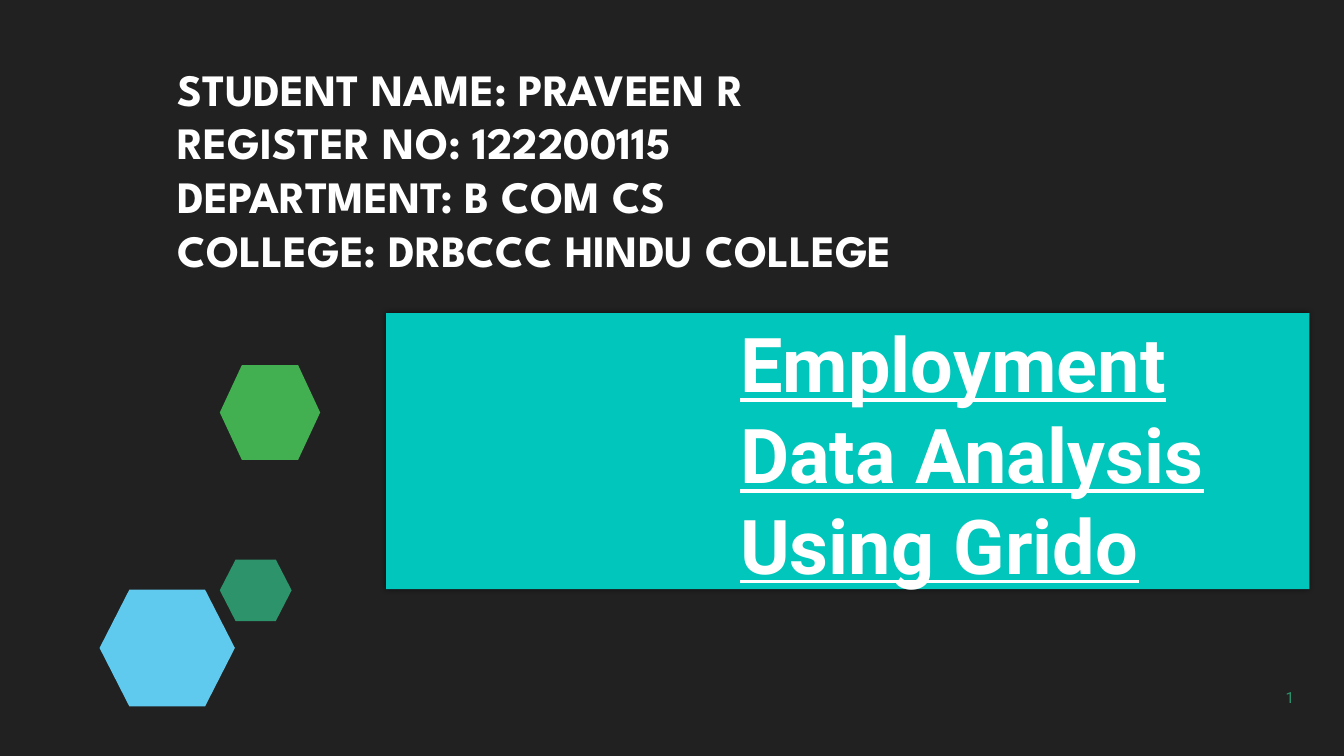
from lxml.etree import SubElement
from pptx import Presentation
from pptx.dml.color import RGBColor
from pptx.enum.shapes import MSO_SHAPE
from pptx.enum.text import MSO_ANCHOR, PP_ALIGN
from pptx.oxml.ns import qn
from pptx.util import Cm, Pt

CHARCOAL = RGBColor(0x21, 0x21, 0x21)
WHITE = RGBColor(0xFF, 0xFF, 0xFF)
TURQUOISE = RGBColor(0x00, 0xC6, 0xBB)
SKY = RGBColor(0x5F, 0xCA, 0xEE)
SEA_GREEN = RGBColor(0x2D, 0x93, 0x6B)
LEAF_GREEN = RGBColor(0x42, 0xAF, 0x51)

STUDENT_DETAILS = [
    "STUDENT NAME: PRAVEEN R",
    "REGISTER NO: 122200115",
    "DEPARTMENT: B COM CS",
    "COLLEGE: DRBCCC HINDU COLLEGE",
]


class CoverPage:
    body_font = "Roboto"
    heading_font = "League Spartan"
    hexagon_inset = 0.22

    def __init__(self, deck):
        self.page = deck.slides.add_slide(deck.slide_layouts[6])
        self.page.background.fill.solid()
        self.page.background.fill.fore_color.rgb = CHARCOAL

    def paint(self, shape, color):
        shape.shadow.inherit = False
        shape.fill.solid()
        shape.fill.fore_color.rgb = color
        shape.line.fill.background()

    def hexagon(self, shapes, left, top, width, height, color):
        right, bottom, middle = left + width, top + height, top + height / 2
        inset = width * self.hexagon_inset
        corners = [(right - inset, top), (left + inset, top), (left, middle),
                   (left + inset, bottom), (right - inset, bottom), (right, middle)]
        points = [(Cm(x), Cm(y)) for x, y in corners]
        builder = shapes.build_freeform(*points[0])
        builder.add_line_segments(points[1:], close=True)
        self.paint(builder.convert_to_shape(), color)

    def panel(self, left, top, width, height, color):
        """Add a filled rectangle with a soft dark edge."""
        box = self.page.shapes.add_shape(
            MSO_SHAPE.RECTANGLE, Cm(left), Cm(top), Cm(width), Cm(height))
        self.paint(box, color)
        effects = box._element.spPr.find(qn("a:effectLst"))
        shadow = SubElement(effects, qn("a:outerShdw"), blurRad=str(Pt(4)),
                            dist="0", dir="14400000", rotWithShape="0")
        shade = SubElement(shadow, qn("a:srgbClr"), val="000000")
        SubElement(shade, qn("a:alpha"), val="60000")
        return box

    def text_box(self, left, top, width, height):
        return self.page.shapes.add_textbox(Cm(left), Cm(top), Cm(width), Cm(height))

    def anchor_low(self, box):
        """Rest the text on the bottom edge, without side margins."""
        frame = box.text_frame
        frame.vertical_anchor = MSO_ANCHOR.BOTTOM
        frame.margin_left = frame.margin_right = frame.margin_bottom = 0
        frame.margin_top = Cm(0.05)

    def add_lines(self, box, lines, font, size, color, bold=False, underline=False,
                  align=PP_ALIGN.LEFT, indent=0, tracking=0):
        frame = box.text_frame
        frame.word_wrap = True
        for index, line in enumerate(lines):
            para = frame.add_paragraph() if index else frame.paragraphs[0]
            para.alignment = align
            para._p.get_or_add_pPr().set("marL", str(Cm(indent)))
            span = para.add_run()
            span.text = line
            span.font.name = font
            span.font.size = Pt(size)
            span.font.bold = bold
            span.font.underline = underline
            span.font.color.rgb = color
            span._r.get_or_add_rPr().set("spc", str(tracking))


def main():
    deck = Presentation()
    deck.slide_width, deck.slide_height = Cm(33.87), Cm(19.05)
    cover = CoverPage(deck)

    pair = cover.page.shapes.add_group_shape()
    cover.hexagon(pair.shapes, 2.51, 14.86, 3.41, 2.94, SKY)
    cover.hexagon(pair.shapes, 5.54, 14.1, 1.81, 1.55, SEA_GREEN)
    cover.hexagon(cover.page.shapes, 5.54, 9.2, 2.53, 2.39, LEAF_GREEN)

    title = cover.panel(9.73, 7.89, 23.27, 6.96, TURQUOISE)
    cover.anchor_low(title)
    cover.add_lines(title, ["Employment Data Analysis Using Grido"], cover.body_font, 54,
                    WHITE, bold=True, underline=True, indent=8.92, tracking=10)

    number = cover.text_box(29.67, 16.43, 2.95, 1.37)
    cover.anchor_low(number)
    cover.add_lines(number, ["1"], cover.body_font, 11, SEA_GREEN,
                    align=PP_ALIGN.RIGHT, tracking=10)

    details = cover.text_box(4.22, 1.42, 26.04, 7.09)
    cover.add_lines(details, STUDENT_DETAILS, cover.heading_font, 32, WHITE, bold=True)

    deck.save("out.pptx")


if __name__ == "__main__":
    main()
